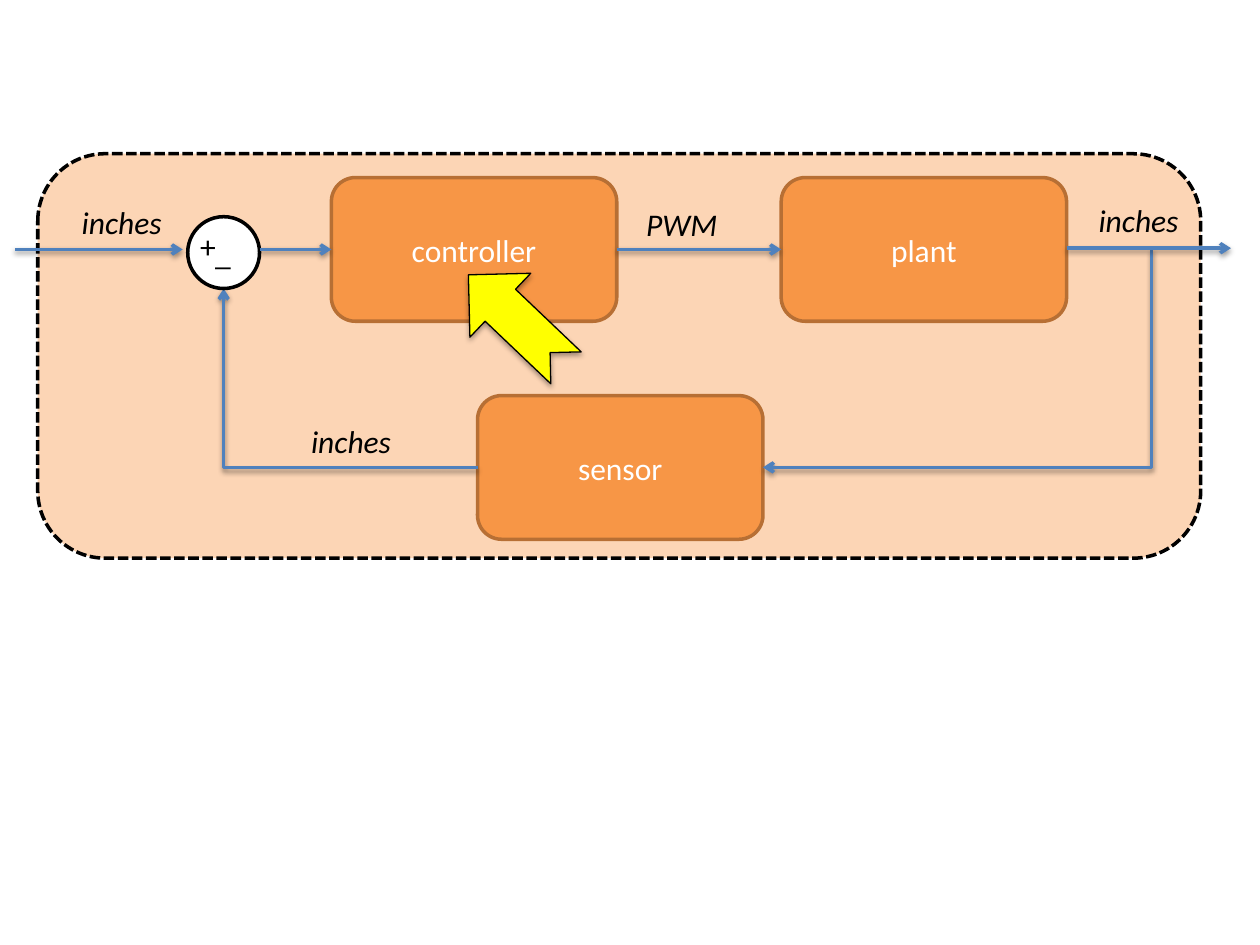
from dataclasses import dataclass

from lxml.etree import SubElement
from pptx import Presentation
from pptx.dml.color import RGBColor
from pptx.enum.dml import MSO_LINE
from pptx.enum.shapes import MSO_CONNECTOR, MSO_SHAPE
from pptx.enum.text import MSO_ANCHOR, MSO_AUTO_SIZE, PP_ALIGN
from pptx.oxml.ns import qn
from pptx.util import Inches, Pt


@dataclass(frozen=True)
class Theme:
    font: str = "Calibri"
    size: float = 18
    stroke: float = 2
    thin: float = 0.75
    black: str = "000000"
    white: str = "FFFFFF"
    frame: str = "FCD5B5"
    block: str = "F79646"
    block_edge: str = "B76F34"
    signal: str = "4F81BD"
    pointer: str = "FFFF00"


THEME = Theme()
WIDTH, HEIGHT = Inches(10), Inches(7.5)

# Grid of 100 columns by 75 rows
COLUMNS, ROWS = 100, 75
BLOCK_W, BLOCK_H = 22.65, 11.4
FORWARD_Y, FEEDBACK_Y = 19.8, 37.1
CONTROLLER_X, PLANT_X, SENSOR_X = 26.3, 62, 37.9
SUM_X, SUM_Y, SUM_SIZE = 14.9, 17.2, 5.7
LABEL_H = 4


def col(n):
    return round(WIDTH * n / COLUMNS)


def row(n):
    return round(HEIGHT * n / ROWS)


def box(x, y, w, h):
    return col(x), row(y), col(w), row(h)


def style_text(paragraph, text, color, italic=False):
    paragraph.text = text
    font = paragraph.font
    font.name, font.size, font.italic = THEME.font, Pt(THEME.size), italic
    font.color.rgb = RGBColor.from_string(color)


def style_line(line, color, width):
    line.color.rgb = RGBColor.from_string(color)
    line.width = Pt(width)


def drop_shadow(effects, alpha, distance):
    cast = SubElement(effects, qn("a:outerShdw"), blurRad=str(Pt(3.1)),
                      dist=str(Pt(distance)), dir="5400000", rotWithShape="0")
    tint = SubElement(cast, qn("a:srgbClr"), val=THEME.black)
    SubElement(tint, qn("a:alpha"), val=str(alpha * 1000))


def add_outline(slide, kind, place, fill, edge, width=THEME.stroke):
    outline = slide.shapes.add_shape(kind, *box(*place))
    outline.shadow.inherit = False
    outline.fill.solid()
    outline.fill.fore_color.rgb = RGBColor.from_string(fill)
    style_line(outline.line, edge, width)
    return outline


def add_block(slide, name, x, middle):
    place = (x, middle - BLOCK_H / 2, BLOCK_W, BLOCK_H)
    block = add_outline(slide, MSO_SHAPE.ROUNDED_RECTANGLE, place,
                        THEME.block, THEME.block_edge)
    block.text_frame.vertical_anchor = MSO_ANCHOR.MIDDLE
    caption = block.text_frame.paragraphs[0]
    caption.alignment = PP_ALIGN.CENTER
    style_text(caption, name, THEME.white)


def add_label(slide, text, x, y, w, italic=True):
    label = slide.shapes.add_textbox(*box(x, y, w, LABEL_H)).text_frame
    label.word_wrap = False
    label.auto_size = MSO_AUTO_SIZE.SHAPE_TO_FIT_TEXT
    style_text(label.paragraphs[0], text, THEME.black, italic)


def add_signal(slide, start, end, kind=MSO_CONNECTOR.STRAIGHT):
    signal = slide.shapes.add_connector(
        kind, col(start[0]), row(start[1]), col(end[0]), row(end[1]))
    style_line(signal.line, THEME.signal, THEME.stroke)
    properties = signal._element.spPr
    SubElement(properties.find(qn("a:ln")), qn("a:tailEnd"), type="arrow")
    drop_shadow(SubElement(properties, qn("a:effectLst")), 38, 1.6)
    return properties


def add_bent_signal(slide, start, end, preset, bend=None):
    """Route leftwards: a half turn stands in for the horizontal flip."""
    properties = add_signal(slide, start, end, MSO_CONNECTOR.ELBOW)
    frame = properties.find(qn("a:xfrm"))
    flipped = frame.attrib.pop("flipV", None)
    frame.attrib.pop("flipH", None)
    frame.set("rot", "10800000")
    if not flipped:
        frame.set("flipV", "1")
    geometry = properties.find(qn("a:prstGeom"))
    geometry.set("prst", preset)
    if bend is not None:
        guides = geometry.find(qn("a:avLst"))
        if guides is None:
            guides = SubElement(geometry, qn("a:avLst"))
        SubElement(guides, qn("a:gd"), name="adj1", fmla=f"val {bend}")


def add_pointer(slide):
    pointer = add_outline(slide, MSO_SHAPE.NOTCHED_RIGHT_ARROW,
                          (35.7, 22, 10.7, 7), THEME.pointer, THEME.black, THEME.thin)
    pointer.rotation = 223.6
    drop_shadow(pointer._element.spPr.find(qn("a:effectLst")), 35, 1.8)


def main():
    deck = Presentation()
    deck.slide_width, deck.slide_height = WIDTH, HEIGHT
    slide = deck.slides.add_slide(deck.slide_layouts[6])

    # System boundary
    boundary = add_outline(slide, MSO_SHAPE.ROUNDED_RECTANGLE,
                           (3, 12.2, 92.3, 32.1), THEME.frame, THEME.black)
    boundary.line.dash_style = MSO_LINE.SQUARE_DOT

    # Blocks of the loop
    for name, x, middle in (("controller", CONTROLLER_X, FORWARD_Y),
                            ("plant", PLANT_X, FORWARD_Y),
                            ("sensor", SENSOR_X, FEEDBACK_Y)):
        add_block(slide, name, x, middle)

    # Feedback path
    sum_middle, sum_bottom = SUM_X + SUM_SIZE / 2, SUM_Y + SUM_SIZE
    add_bent_signal(slide, (SENSOR_X, FEEDBACK_Y), (sum_middle, sum_bottom),
                    "bentConnector2")
    add_bent_signal(slide, (91.35, FORWARD_Y), (SENSOR_X + BLOCK_W, FEEDBACK_Y),
                    "bentConnector3", bend=-100)

    # Summing junction
    add_outline(slide, MSO_SHAPE.OVAL, (SUM_X, SUM_Y, SUM_SIZE, SUM_SIZE),
                THEME.white, THEME.black)

    # Forward path
    for start, end, y in ((1.2, 14.5, FORWARD_Y),
                          (SUM_X + SUM_SIZE, CONTROLLER_X, FORWARD_Y),
                          (CONTROLLER_X + BLOCK_W, PLANT_X, FORWARD_Y),
                          (PLANT_X + BLOCK_W, 97.7, 19.7)):
        add_signal(slide, (start, y), (end, y))

    # Units of the signals
    for unit, x, y, w in (("inches", 23.7, 33, 9.1), ("inches", 5.5, 15.6, 9.1),
                          ("PWM", 50.3, 15.8, 8.3), ("inches", 86.2, 15.5, 9.1)):
        add_label(slide, unit, x, y, w)

    # Pointer to the controller, signs of the junction
    add_pointer(slide)
    add_label(slide, "_", 16.1, 18.1, 3.3, italic=False)
    add_label(slide, "+", 14.9, 17.5, 3.3, italic=False)

    deck.save("out.pptx")


main()
